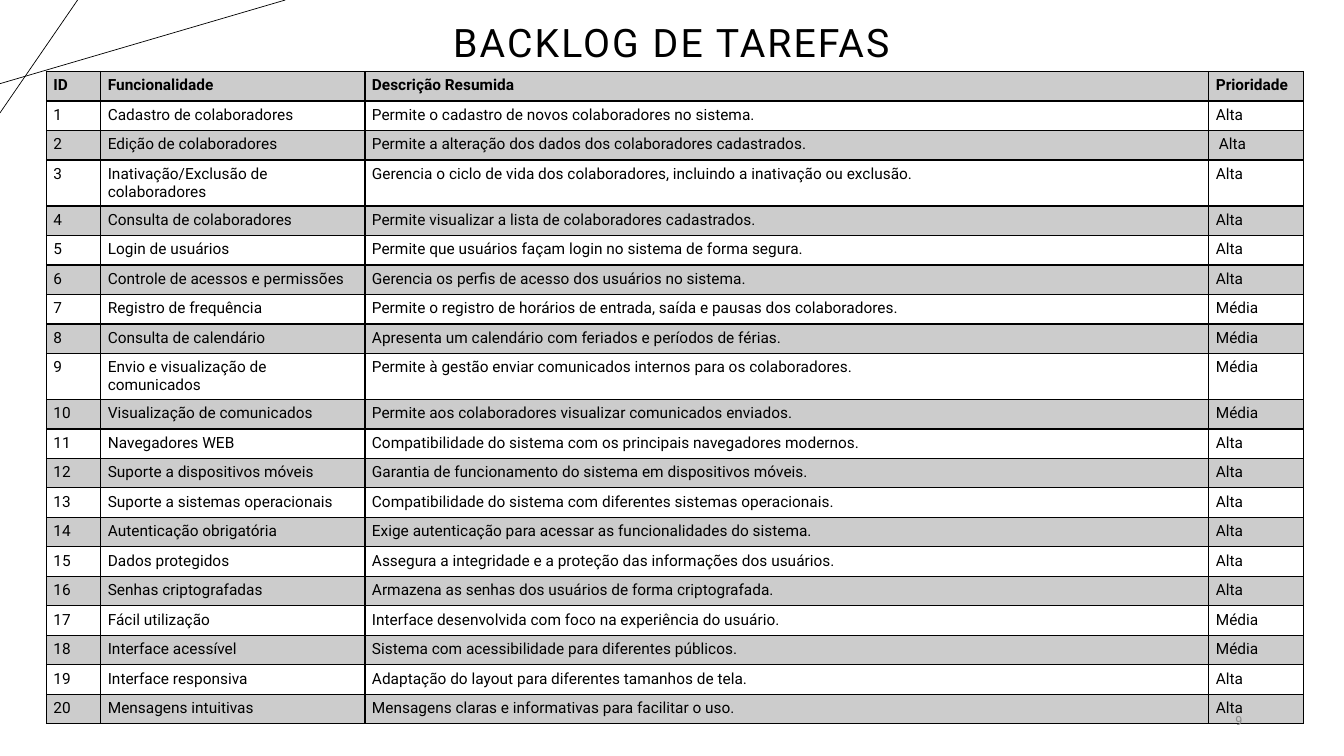
from lxml import etree
from pptx import Presentation
from pptx.dml.color import RGBColor
from pptx.enum.shapes import MSO_CONNECTOR
from pptx.enum.text import MSO_ANCHOR, PP_ALIGN
from pptx.oxml.ns import qn
from pptx.util import Inches, Pt

STRAIGHT = MSO_CONNECTOR.STRAIGHT
MIDDLE, BOTTOM = MSO_ANCHOR.MIDDLE, MSO_ANCHOR.BOTTOM
CENTER, RIGHT = PP_ALIGN.CENTER, PP_ALIGN.RIGHT
BLACK = RGBColor(0x00, 0x00, 0x00)
GRAY = RGBColor(0x8C, 0x8C, 0x8C)
FONT = "Roboto"

HEADER = ("ID", "Funcionalidade", "Descrição Resumida", "Prioridade")
COLUMN_WIDTHS = (0.54, 2.62, 8.37, 0.94)
TASKS = [
    ("Cadastro de colaboradores", "Permite o cadastro de novos colaboradores no sistema.", "Alta"),
    ("Edição de colaboradores", "Permite a alteração dos dados dos colaboradores cadastrados.", "Alta"),
    ("Inativação/Exclusão de colaboradores",
     "Gerencia o ciclo de vida dos colaboradores, incluindo a inativação ou exclusão.", "Alta"),
    ("Consulta de colaboradores", "Permite visualizar a lista de colaboradores cadastrados.", "Alta"),
    ("Login de usuários", "Permite que usuários façam login no sistema de forma segura.", "Alta"),
    ("Controle de acessos e permissões", "Gerencia os perfis de acesso dos usuários no sistema.", "Alta"),
    ("Registro de frequência",
     "Permite o registro de horários de entrada, saída e pausas dos colaboradores.", "Média"),
    ("Consulta de calendário", "Apresenta um calendário com feriados e períodos de férias.", "Média"),
    ("Envio e visualização de comunicados",
     "Permite à gestão enviar comunicados internos para os colaboradores.", "Média"),
    ("Visualização de comunicados", "Permite aos colaboradores visualizar comunicados enviados.", "Média"),
    ("Navegadores WEB", "Compatibilidade do sistema com os principais navegadores modernos.", "Alta"),
    ("Suporte a dispositivos móveis", "Garantia de funcionamento do sistema em dispositivos móveis.", "Alta"),
    ("Suporte a sistemas operacionais",
     "Compatibilidade do sistema com diferentes sistemas operacionais.", "Alta"),
    ("Autenticação obrigatória", "Exige autenticação para acessar as funcionalidades do sistema.", "Alta"),
    ("Dados protegidos", "Assegura a integridade e a proteção das informações dos usuários.", "Alta"),
    ("Senhas criptografadas", "Armazena as senhas dos usuários de forma criptografada.", "Alta"),
    ("Fácil utilização", "Interface desenvolvida com foco na experiência do usuário.", "Média"),
    ("Interface acessível", "Sistema com acessibilidade para diferentes públicos.", "Média"),
    ("Interface responsiva", "Adaptação do layout para diferentes tamanhos de tela.", "Alta"),
    ("Mensagens intuitivas", "Mensagens claras e informativas para facilitar o uso.", "Alta"),
]


class SlideBuilder:
    def __init__(self, slide, font, color):
        self.s = slide
        self.font = font
        self.color = color

    def style(self, p, size, color=None, bold=False):
        p.font.name = self.font
        p.font.size = Pt(size)
        p.font.bold = bold
        p.font.color.rgb = color or self.color

    def line(self, x1, y1, x2, y2):
        c = self.s.shapes.add_connector(STRAIGHT, Inches(x1), Inches(y1), Inches(x2), Inches(y2))
        c.line.color.rgb = self.color
        c.line.width = Pt(0.5)
        etree.SubElement(c._element.spPr, qn("a:effectLst"))

    def text(self, box, text, size, align, anchor, color=None, line_spacing=None, tracking=0):
        sp = self.s.shapes.add_textbox(*map(Inches, box))
        tf = sp.text_frame
        tf.word_wrap = True
        tf.vertical_anchor = anchor
        p = tf.paragraphs[0]
        p.alignment = align
        p.line_spacing = line_spacing
        r = p.add_run()
        r.text = text
        self.style(p, size, color)
        if tracking:
            r.font._element.set("spc", str(round(tracking * 100)))

    def cell(self, cell, text, shaded, bold):
        cell.text = text
        cell.margin_left = cell.margin_right = Inches(0.07)
        cell.margin_top = cell.margin_bottom = Inches(0.05)
        p = cell.text_frame.paragraphs[0]
        p.line_spacing = Pt(12.8)
        self.style(p, 11, bold=bold)
        tcPr = cell._tc.get_or_add_tcPr()
        if shaded:
            cell.fill.solid()
            cell.fill.fore_color.rgb = self.color
            etree.SubElement(tcPr.find(".//" + qn("a:srgbClr")), qn("a:alpha"), val="20000")
        else:
            cell.fill.background()
        for i, side in enumerate(("lnL", "lnR", "lnT", "lnB")):
            ln = etree.Element(qn("a:" + side), w=str(Pt(1)))
            fill = etree.SubElement(ln, qn("a:solidFill"))
            etree.SubElement(fill, qn("a:srgbClr"), val=str(self.color))
            tcPr.insert(i, ln)

    def table(self, box, widths, rows):
        table = self.s.shapes.add_table(len(rows), len(widths), *map(Inches, box)).table
        table.first_row = table.horz_banding = False
        for column, width in zip(table.columns, widths):
            column.width = Inches(width)
        for i, row in enumerate(rows):
            for j, text in enumerate(row):
                self.cell(table.cell(i, j), text, shaded=i % 2 == 0, bold=i == 0)
        return table


def main():
    prs = Presentation()
    prs.slide_width, prs.slide_height = Inches(13.33), Inches(7.5)
    b = SlideBuilder(prs.slides.add_slide(prs.slide_layouts[6]), FONT, BLACK)
    b.line(0, 0.83, 2.83, 0)
    b.line(0.77, 0, 0, 1.12)
    b.text((0.92, -0.01, 11.48, 0.71), "BACKLOG DE TAREFAS", 28, CENTER, BOTTOM,
           line_spacing=0.9, tracking=1.5)
    rows = [HEADER] + [(str(n), *task) for n, task in enumerate(TASKS, 1)]
    table = b.table((0.46, 0.71, sum(COLUMN_WIDTHS), 6.15), COLUMN_WIDTHS, rows)
    edit_priority = table.cell(2, 3)
    edit_priority.margin_left = edit_priority.margin_right = Inches(0.1)
    b.text((11.34, 6.95, 1.08, 0.4), "9", 9, RIGHT, MIDDLE, color=GRAY)
    prs.save("out.pptx")


if __name__ == "__main__":
    main()
